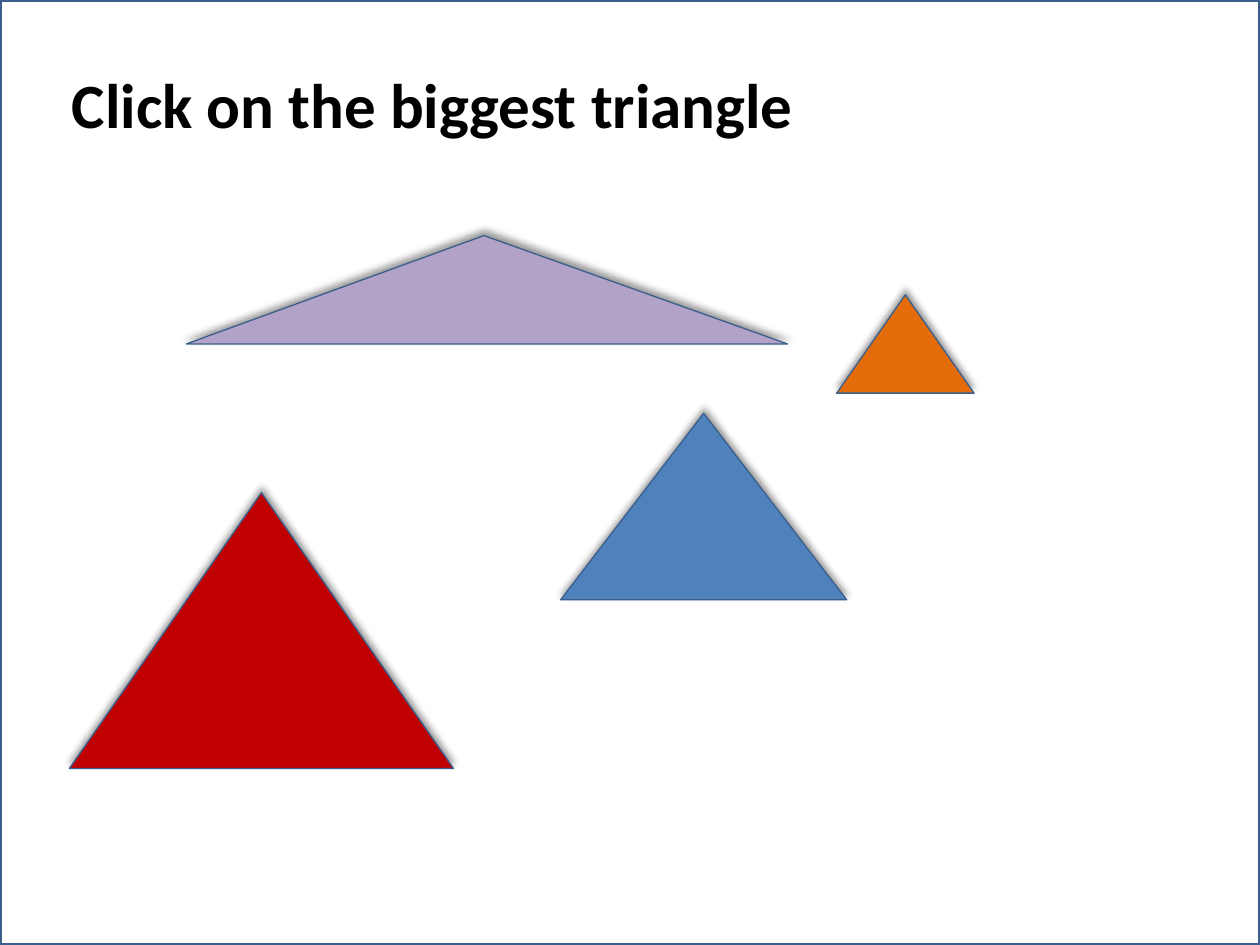
from dataclasses import dataclass
from lxml.etree import SubElement
from pptx import Presentation
from pptx.dml.color import RGBColor
from pptx.enum.shapes import MSO_SHAPE
from pptx.enum.text import MSO_ANCHOR, PP_ALIGN
from pptx.oxml.ns import qn
from pptx.util import Inches, Pt


@dataclass(frozen=True)
class Theme:
    font: str = "Calibri"
    title_size: int = 36
    text: str = "000000"
    outline: str = "3A5F8C"
    blue: str = "4F81BD"
    red: str = "C00000"
    orange: str = "E46C0A"
    purple: str = "B3A2C7"


def add_outlined(kind, box, line_width):
    sp = s.shapes.add_shape(kind, *map(Inches, box))
    sp.shadow.inherit = False
    sp.line.color.rgb = RGBColor.from_string(theme.outline)
    sp.line.width = Pt(line_width)
    return sp


def add_shadow(sp):
    effects = sp._element.spPr.find(qn("a:effectLst"))
    shadow = SubElement(effects, qn("a:outerShdw"), blurRad=str(Pt(4)),
                        dist=str(Pt(3)), dir=str(270 * 60000),
                        algn="b", rotWithShape="0")
    color = SubElement(shadow, qn("a:srgbClr"), val=theme.text)
    SubElement(color, qn("a:alpha"), val="40000")


theme = Theme()
prs = Presentation()
prs.slide_width, prs.slide_height = Inches(10), Inches(7.5)
s = prs.slides.add_slide(prs.slide_layouts[5])

frame = add_outlined(MSO_SHAPE.RECTANGLE, (0, 0, 10, 7.5), 2)
frame.fill.background()

triangles = [
    ((4.45, 3.28, 2.27, 1.48), theme.blue, 0.5),
    ((0.55, 3.91, 3.05, 2.19), theme.red, 0.5),
    ((6.64, 2.34, 1.09, 0.78), theme.orange, 0.5),
    ((1.48, 1.87, 4.77, 0.86), theme.purple, 0.495),
]
for box, color, apex in triangles:
    sp = add_outlined(MSO_SHAPE.ISOSCELES_TRIANGLE, box, 0)
    sp.adjustments[0] = apex
    sp.fill.solid()
    sp.fill.fore_color.rgb = RGBColor.from_string(color)
    add_shadow(sp)

title = s.shapes.title
title.left, title.top, title.width, title.height = map(Inches, (0.47, 0.47, 6.48, 0.71))
tf = title.text_frame
tf.text = "Click on the biggest triangle"
tf.word_wrap = True
tf.vertical_anchor = MSO_ANCHOR.TOP
p = tf.paragraphs[0]
p.alignment = PP_ALIGN.LEFT
r = p.runs[0]
r.font.name = theme.font
r.font.size = Pt(theme.title_size)
r.font.bold = True
r.font.color.rgb = RGBColor.from_string(theme.text)

prs.save("out.pptx")
